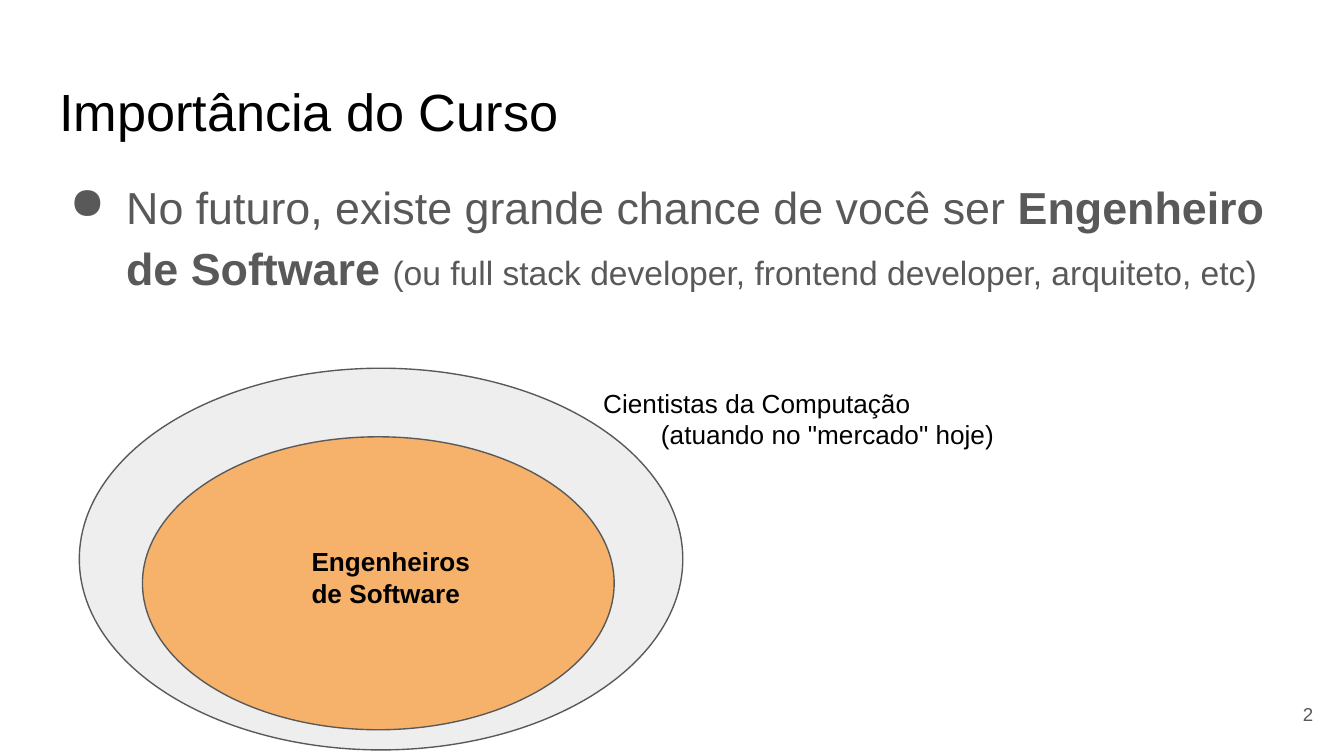
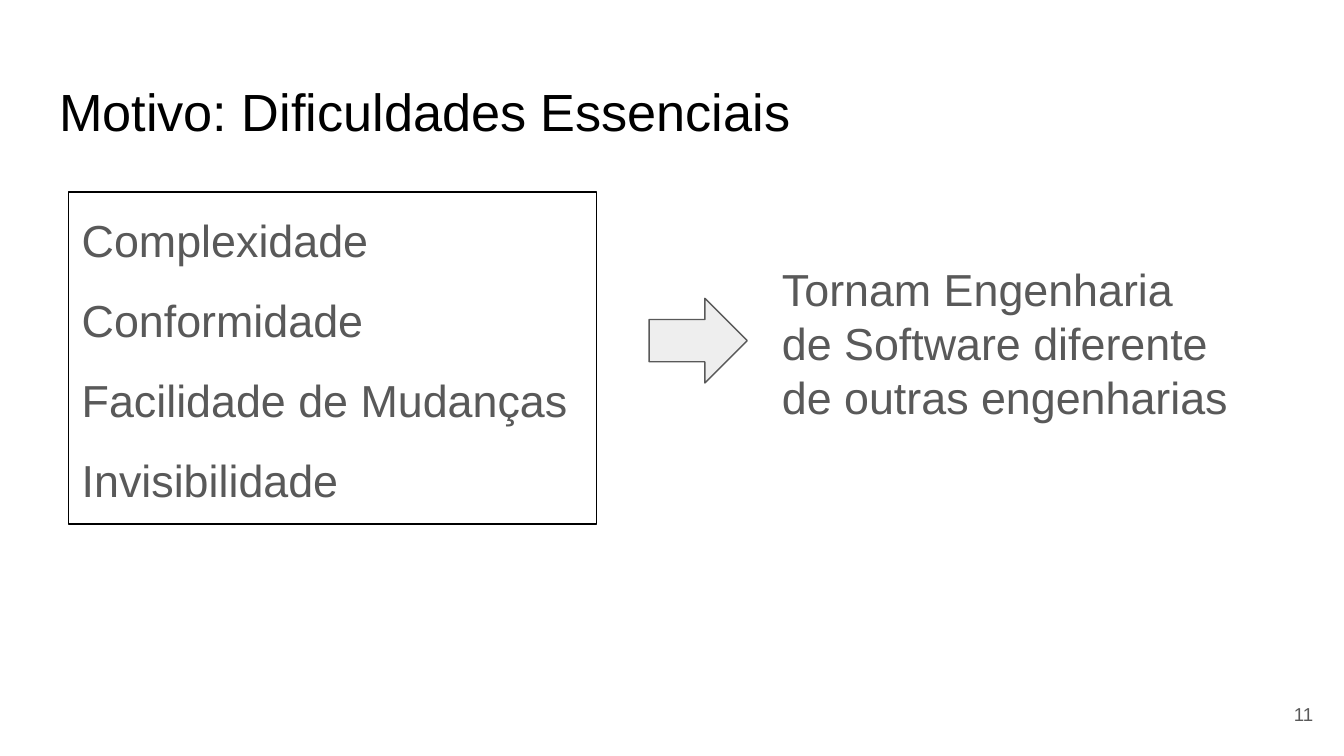
from pptx import Presentation, util as u
from pptx.dml.color import RGBColor
from pptx.enum import shapes, text
from lxml import etree

GRID = u.Inches(0.1)
FONT = "Arial"
BLACK, GRAY, PALE, ORANGE = "000000", "595959", "EEEEEE", "F6B26B"
TITLE_AREA = (3.4, 4.9, 93.2, 6.3)
NUMBER_AREA = (92.7, 51, 6, 4.3)
TITLE_ONLY = 5


def color(value):
    return RGBColor.from_string(value)


def cells(*counts):
    return [int(count * GRID) for count in counts]


def style(font, size, tone, bold=False):
    font.name = FONT
    font.size = u.Pt(size)
    font.bold = bold
    font.color.rgb = color(tone)


def prepare(frame, anchor=text.MSO_ANCHOR.TOP):
    frame.word_wrap = True
    frame.auto_size = text.MSO_AUTO_SIZE.NONE
    frame.vertical_anchor = anchor
    frame.margin_left = frame.margin_right = GRID
    frame.margin_top = frame.margin_bottom = GRID


def add_text(page, area, lines, size, tone=BLACK, bold=False, align=text.PP_ALIGN.LEFT,
             anchor=text.MSO_ANCHOR.TOP, spacing=1.0, gap=0):
    box = page.shapes.add_textbox(*cells(*area))
    prepare(box.text_frame, anchor)
    box.text_frame.text = "\n".join(lines)
    for index, para in enumerate(box.text_frame.paragraphs):
        para.alignment = align
        para.line_spacing = spacing
        para.space_before = u.Pt(gap if index else 0)
        for span in para.runs:
            style(span.font, size, tone, bold)
    return box


def indent(para, left, first=0):
    properties = para._p.get_or_add_pPr()
    properties.set("marL", str(int(left * GRID)))
    properties.set("indent", str(int(first * GRID)))
    return properties


def add_bullet(page, area, spans):
    box = add_text(page, area, [""], 24, GRAY, spacing=1.14)
    para = box.text_frame.paragraphs[0]
    properties = indent(para, 5, -4.2)
    namespace = properties.nsmap["a"]
    tone = etree.SubElement(properties, f"{{{namespace}}}buClr")
    etree.SubElement(tone, f"{{{namespace}}}srgbClr", val=GRAY)
    etree.SubElement(properties, f"{{{namespace}}}buChar", char="●")
    for words, size, bold in spans:
        span = para.add_run()
        span.text = words
        style(span.font, size, GRAY, bold)


def add_figure(page, kind, area, fill):
    figure = page.shapes.add_shape(kind, *cells(*area))
    figure.shadow.inherit = False
    figure.fill.solid()
    figure.fill.fore_color.rgb = color(fill)
    figure.line.color.rgb = color(GRAY)
    figure.line.width = u.Pt(0.75)


def add_page(deck, heading, number):
    page = deck.slides.add_slide(deck.slide_layouts[TITLE_ONLY])
    title = page.shapes.title
    title.left, title.top, title.width, title.height = cells(*TITLE_AREA)
    title.text_frame.text = heading
    prepare(title.text_frame)
    para = title.text_frame.paragraphs[0]
    para.alignment = text.PP_ALIGN.LEFT
    style(para.runs[0].font, 28, BLACK)
    add_text(page, NUMBER_AREA, [str(number)], 10, GRAY,
             align=text.PP_ALIGN.RIGHT, anchor=text.MSO_ANCHOR.MIDDLE)
    return page


def build_importance(deck):
    page = add_page(deck, "Importância do Curso", 2)
    oval = shapes.MSO_SHAPE.OVAL
    add_figure(page, oval, (5.9, 27.4, 44.9, 28.4), PALE)
    add_figure(page, oval, (10.6, 32.5, 35.1, 21.8), ORANGE)
    scientists = add_text(page, (43.9, 27.8, 32, 6), [
        "Cientistas da Computação", '(atuando no "mercado" hoje)'], 14)
    indent(scientists.text_frame.paragraphs[1], 4.3)
    add_text(page, (22.2, 39.6, 16, 7.1), ["Engenheiros", "de Software"], 14, bold=True)
    add_bullet(page, (3.4, 11.8, 93.2, 9), [
        ("No futuro, existe grande chance de você ser ", 24, False),
        ("Engenheiro de Software ", 24, True),
        ("(ou full stack developer, frontend developer, arquiteto, etc)", 18, False)])


def build_difficulties(deck):
    page = add_page(deck, "Motivo: Dificuldades Essenciais", 11)
    difficulties = add_text(page, (5.1, 14.3, 39.3, 24.7), [
        "Complexidade", "Conformidade", "Facilidade de Mudanças", "Invisibilidade"],
        24, GRAY, spacing=1.14, gap=10)
    difficulties.line.color.rgb = color(BLACK)
    difficulties.line.width = u.Pt(0.75)
    add_text(page, (57.2, 18.5, 36.4, 13.7), [
        "Tornam Engenharia", "de Software diferente", "de outras engenharias"], 24, GRAY)
    add_figure(page, shapes.MSO_SHAPE.RIGHT_ARROW, (48.3, 22.2, 7.3, 6.3), PALE)


def main():
    deck = Presentation()
    deck.slide_width, deck.slide_height = cells(100, 56.25)
    build_importance(deck)
    build_difficulties(deck)
    deck.save("out.pptx")


if __name__ == "__main__":
    main()
